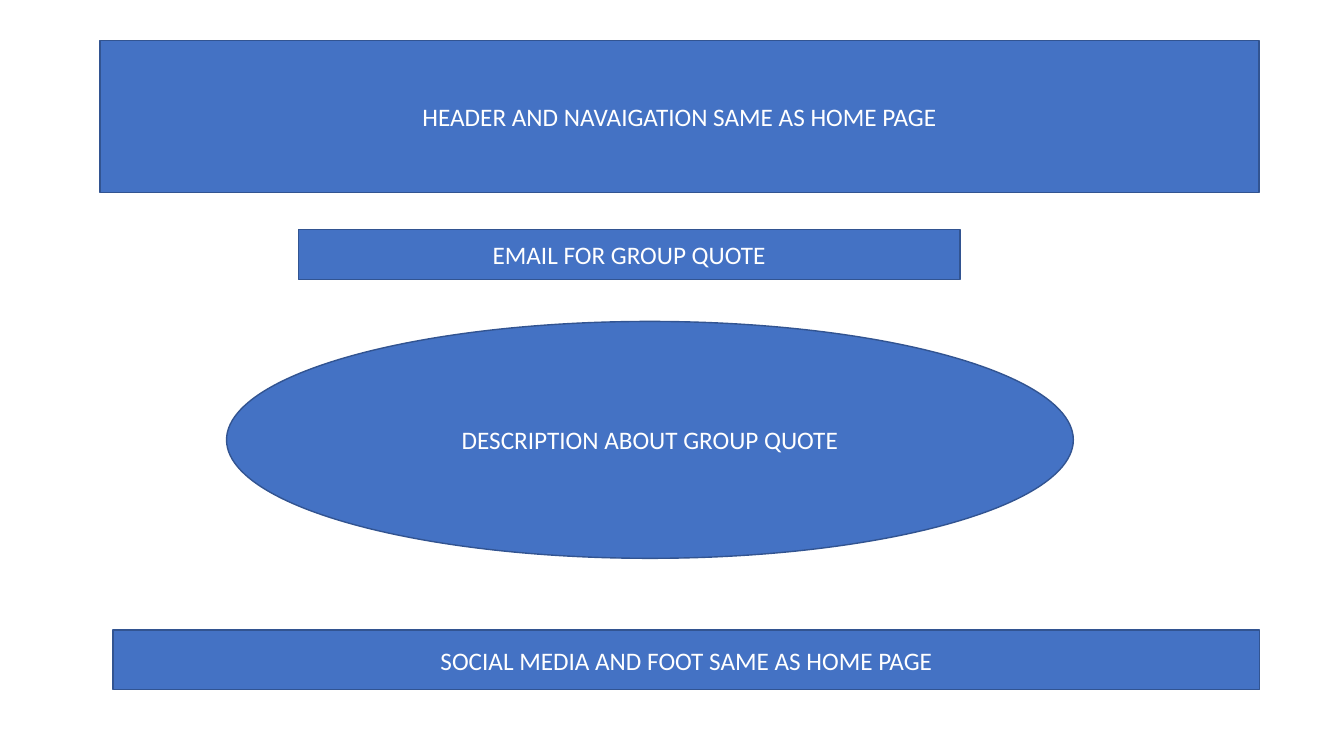
from pptx import Presentation
from pptx.dml.color import RGBColor
from pptx.enum.shapes import MSO_SHAPE as SHAPE
from pptx.enum.text import MSO_ANCHOR as ANCHOR, PP_ALIGN as ALIGN
from pptx.util import Cm, Pt


def paint(color, value):
    color.rgb = RGBColor.from_string(value)


# Slide
prs = Presentation()
prs.slide_width, prs.slide_height = Cm(33.87), Cm(19.05)
s = prs.slides.add_slide(prs.slide_layouts[6])

# Page sections: shape, left, top, width, height in cm, label
sections = [
    (SHAPE.RECTANGLE, 2.52, 1.02, 29.21, 3.84, "HEADER AND NAVAIGATION SAME AS HOME PAGE"),
    (SHAPE.RECTANGLE, 2.85, 15.88, 28.9, 1.5, "SOCIAL MEDIA AND FOOT SAME AS HOME PAGE"),
    (SHAPE.RECTANGLE, 7.52, 5.79, 16.67, 1.26, "EMAIL FOR GROUP QUOTE"),
    (SHAPE.OVAL, 5.71, 8.1, 21.34, 5.97, "DESCRIPTION ABOUT GROUP QUOTE"),
]

for kind, left, top, width, height, label in sections:
    sp = s.shapes.add_shape(kind, Cm(left), Cm(top), Cm(width), Cm(height))
    sp.shadow.inherit = False
    sp.fill.solid()
    paint(sp.fill.fore_color, "4472C4")
    paint(sp.line.color, "325491")
    sp.line.width = Pt(1)

    # Centred label
    tf = sp.text_frame
    tf.text = label
    tf.word_wrap = True
    tf.vertical_anchor = ANCHOR.MIDDLE
    p = tf.paragraphs[0]
    p.alignment = ALIGN.CENTER
    r = p.runs[0]
    r.font.name = "Calibri"
    r.font.size = Pt(18)
    paint(r.font.color, "FFFFFF")

prs.save("out.pptx")
